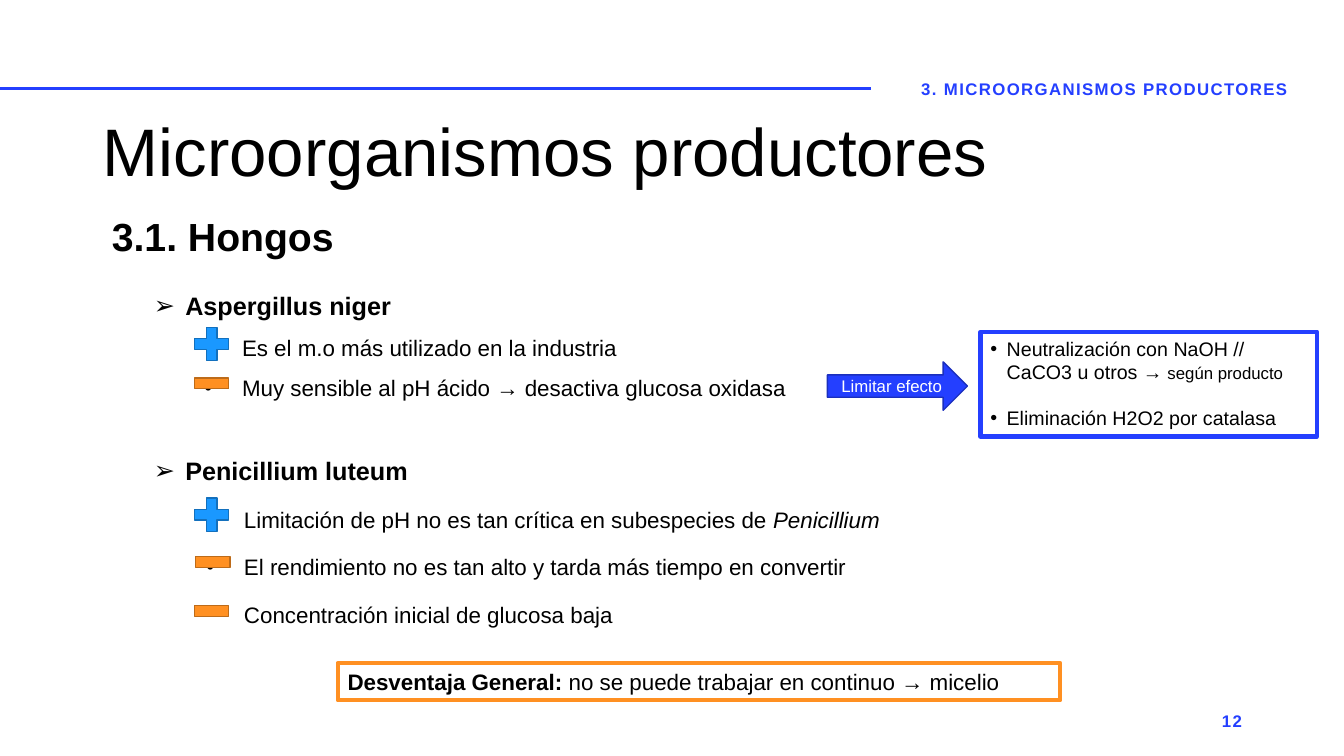
from dataclasses import dataclass

import pptx
import pptx.dml.color
import pptx.enum.shapes
import pptx.enum.text
import pptx.util
from lxml import etree
from pptx.oxml.ns import qn

Cm = pptx.util.Cm
Pt = pptx.util.Pt
SHAPE = pptx.enum.shapes.MSO_SHAPE
ALIGN = pptx.enum.text.PP_ALIGN
ANCHOR = pptx.enum.text.MSO_ANCHOR


@dataclass(frozen=True)
class Theme:
    font: str = "Arial"
    ink: str = "000000"
    paper: str = "FFFFFF"
    blue: str = "243FFF"
    blue_edge: str = "1B2FBD"
    orange: str = "FF9022"
    orange_edge: str = "BD6B19"
    sky: str = "1A98FF"
    sky_edge: str = "1370BD"
    title: int = 48
    section: int = 28
    species: int = 18
    body: int = 16
    remedy: int = 14
    small: int = 12


def color(value):
    return pptx.dml.color.RGBColor.from_string(value)


class SlideBuilder:
    def __init__(self, s, theme):
        self.s = s
        self.theme = theme

    def rule(self, x1, x2, y):
        line = self.s.shapes.add_connector(
            pptx.enum.shapes.MSO_CONNECTOR.STRAIGHT, Cm(x1), Cm(y), Cm(x2), Cm(y))
        line.line.color.rgb = color(self.theme.blue)
        line.line.width = Pt(2)
        etree.SubElement(line._element.spPr, qn("a:effectLst"))

    def shape(self, kind, box, fill, edge, width=1):
        sp = self.s.shapes.add_shape(kind, *map(Cm, box))
        sp.shadow.inherit = False
        sp.fill.solid()
        sp.fill.fore_color.rgb = color(fill)
        sp.line.color.rgb = color(edge)
        sp.line.width = Pt(width)
        return sp

    def textbox(self, box, anchor=ANCHOR.TOP):
        tf = self.s.shapes.add_textbox(*map(Cm, box)).text_frame
        tf.word_wrap = True
        tf.vertical_anchor = anchor
        return tf

    def paragraph(self, tf, text, size, ink=None, bold=False, align=ALIGN.LEFT,
                  spacing=1.0, before=0, tracking=0, bullet=None, left=0, hanging=0):
        p = tf.paragraphs[0]
        if p.runs:
            p = tf.add_paragraph()
        p.text = text
        p.alignment = align
        p.line_spacing = spacing
        p.space_before = Pt(before)
        if bullet:
            pPr = p._p.get_or_add_pPr()
            pPr.set("marL", str(Cm(left)))
            pPr.set("indent", str(-Cm(hanging)))
            etree.SubElement(pPr, qn("a:buFont")).set("typeface", self.theme.font)
            etree.SubElement(pPr, qn("a:buChar")).set("char", bullet)
        r = self.style(p.runs[0], size, ink, bold)
        if tracking:
            r.font._element.set("spc", str(tracking * 100))
        return p

    def run(self, p, text, size, italic=False):
        r = p.add_run()
        r.text = text
        self.style(r, size).font.italic = italic

    def style(self, r, size, ink=None, bold=False):
        r.font.name = self.theme.font
        r.font.size = Pt(size)
        r.font.bold = bold
        r.font.color.rgb = color(ink or self.theme.ink)
        return r

    def species(self, box, name, traits, left, heading_spacing, before):
        t = self.theme
        tf = self.textbox(box)
        self.paragraph(tf, name, t.species, bold=True, spacing=heading_spacing,
                       bullet="➢", left=0.79, hanging=0.79)
        return [self.paragraph(tf, trait, t.body, spacing=1.5, before=before,
                               bullet="•", left=left, hanging=0.95)
                for trait in traits]

    def callout(self, box, edge):
        sp = self.shape(SHAPE.RECTANGLE, box, self.theme.paper, edge, 3)
        sp.text_frame.word_wrap = True
        sp.text_frame.vertical_anchor = ANCHOR.TOP
        return sp.text_frame

    def arrow(self, box, text):
        t = self.theme
        sp = self.shape(SHAPE.RIGHT_ARROW, box, t.blue, t.blue_edge)
        sp.adjustments[0] = 0.46
        sp.adjustments[1] = 0.5
        tf = sp.text_frame
        tf.word_wrap = True
        tf.vertical_anchor = ANCHOR.MIDDLE
        self.paragraph(tf, text, t.small, t.paper, align=ALIGN.CENTER)

    def sign(self, kind, x, y):
        t = self.theme
        fill, edge = ((t.sky, t.sky_edge) if kind == SHAPE.MATH_PLUS
                      else (t.orange, t.orange_edge))
        self.shape(kind, (x, y, 1.17, 1.14), fill, edge)


def main():
    prs = pptx.Presentation()
    prs.slide_width = Cm(33.87)
    prs.slide_height = Cm(19.05)
    t = Theme()
    b = SlideBuilder(prs.slides.add_slide(prs.slide_layouts[6]), t)

    b.rule(0, 21.95, 2.24)
    b.paragraph(b.textbox((2.34, 2.44, 26.64, 2.49), ANCHOR.BOTTOM),
                "Microorganismos productores", t.title, spacing=0.9)
    for box, text, align in (
            ((22.12, 1.73, 11.43, 1.02), "3. MICROORGANISMOS PRODUCTORES", ALIGN.CENTER),
            ((23.93, 17.65, 7.62, 1.02), "12", ALIGN.RIGHT)):
        b.paragraph(b.textbox(box, ANCHOR.MIDDLE), text, t.small, t.blue,
                    bold=True, align=align, tracking=1)
    b.paragraph(b.textbox((2.57, 5.23, 15.98, 1.45)), "3.1. Hongos", t.section, bold=True)

    penicillium = b.species(
        (3.63, 11.28, 28.42, 4.72), "Penicillium luteum",
        ("Limitación de pH no es tan crítica en subespecies de ",
         "El rendimiento no es tan alto y tarda más tiempo en convertir",
         "Concentración inicial de glucosa baja"),
        left=2.27, heading_spacing=1.1, before=5)
    b.run(penicillium[0], "Penicillium", t.body, italic=True)
    b.species(
        (3.63, 7.19, 19.05, 2.95), "Aspergillus niger",
        ("Es el m.o más utilizado en la industria",
         "Muy sensible al pH ácido → desactiva glucosa oxidasa"),
        left=2.22, heading_spacing=1.0, before=0)

    tf = b.callout((24.71, 8.36, 8.48, 2.64), t.blue)
    p = b.paragraph(tf, "Neutralización con NaOH // CaCO3 u otros →", t.remedy,
                    bullet="•", left=0.41, hanging=0.41)
    b.run(p, " según producto", t.small)
    b.paragraph(tf, "Eliminación H2O2 por catalasa", t.remedy, before=16,
                bullet="•", left=0.41, hanging=0.41)

    tf = b.callout((8.51, 16.71, 18.21, 0.94), t.orange)
    p = b.paragraph(tf, "Desventaja General: ", t.body, bold=True)
    b.run(p, "no se puede trabajar en continuo → micelio", t.body)

    b.arrow((20.85, 9.12, 3.53, 1.22), "Limitar efecto")

    for kind, x, y in ((SHAPE.MATH_PLUS, 4.75, 8.1),
                       (SHAPE.MATH_PLUS, 4.75, 12.4),
                       (SHAPE.MATH_MINUS, 4.75, 14.83),
                       (SHAPE.MATH_MINUS, 4.78, 13.59),
                       (SHAPE.MATH_MINUS, 4.75, 9.09)):
        b.sign(kind, x, y)

    prs.save("out.pptx")


if __name__ == "__main__":
    main()
